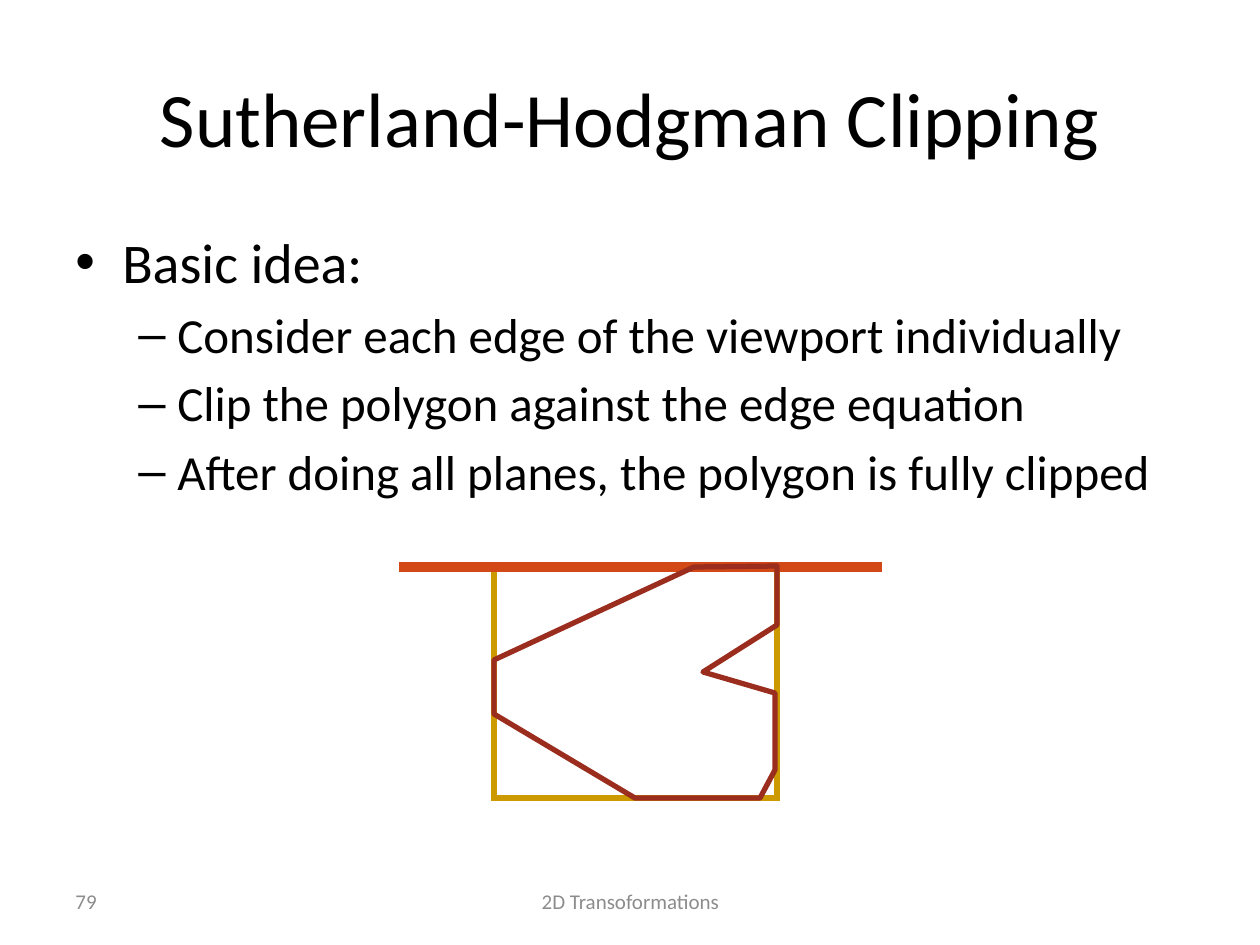
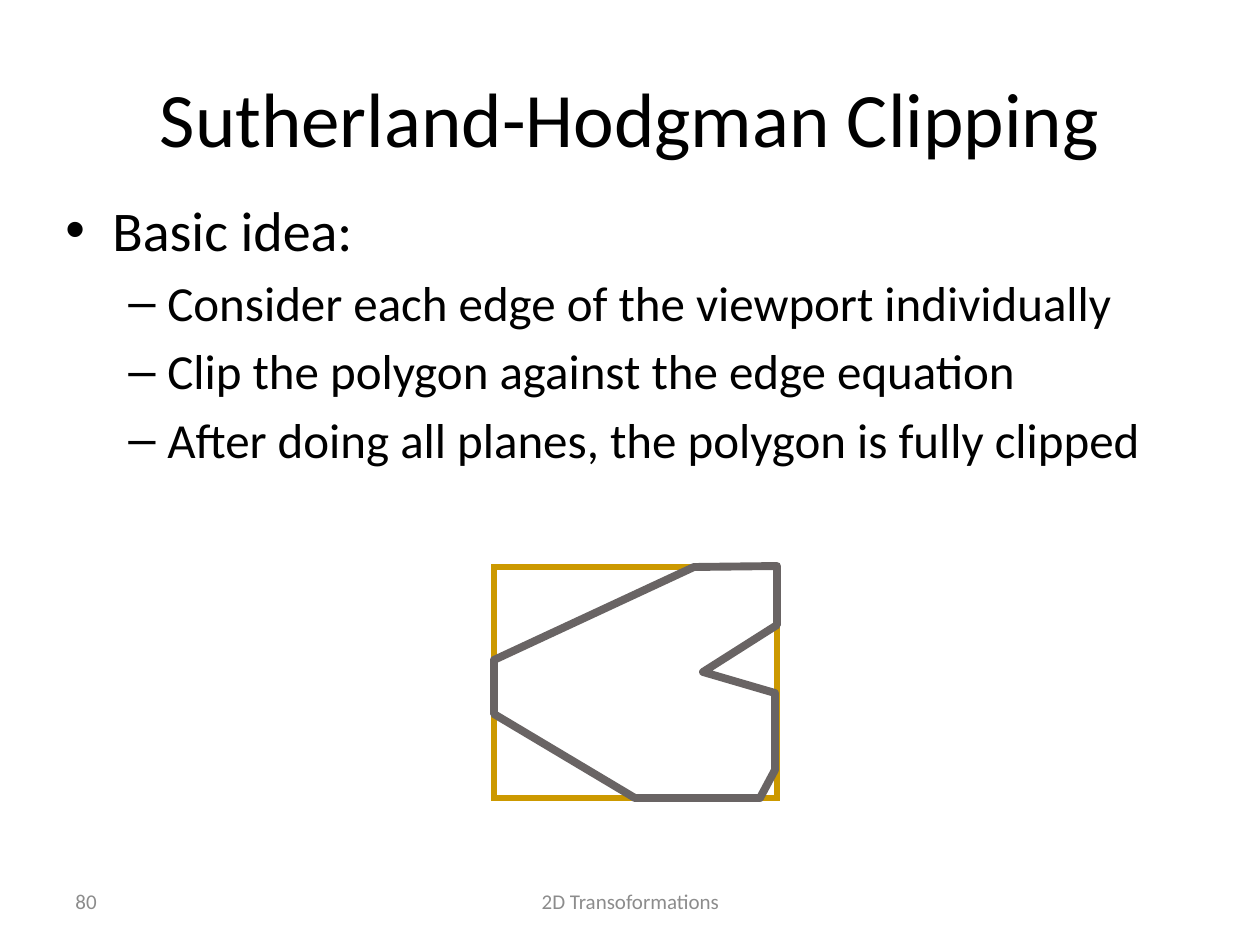
from lxml import etree
from pptx import Presentation
from pptx.dml.color import RGBColor
from pptx.enum.shapes import MSO_CONNECTOR, MSO_SHAPE
from pptx.enum.text import MSO_ANCHOR as Anchor, PP_ALIGN as Align
from pptx.oxml.ns import qn
from pptx.util import Pt

FONT = "Calibri"
BLACK = RGBColor(0x00, 0x00, 0x00)
FOOTER_GRAY = RGBColor(0x8C, 0x8C, 0x8C)
VIEWPORT_GOLD = RGBColor(0xCC, 0x99, 0x00)
EDGE_ORANGE = RGBColor(0xD3, 0x48, 0x17)
CLIPPED_RED = RGBColor(0x9B, 0x2D, 0x1F)
FINISHED_GRAY = RGBColor(0x69, 0x64, 0x64)

TITLE = "Sutherland-Hodgman Clipping"
FOOTER = "2D Transoformations"
BULLETS = [
    (0, "Basic idea:"),
    (1, "Consider each edge of the viewport individually"),
    (1, "Clip the polygon against the edge equation"),
    (1, "After doing all planes, the polygon is fully clipped"),
]
# Per level: bullet sign, text indent in px, hanging indent in px, size in points
LEVELS = [("•", 47, 47, 32), ("–", 102, 39, 28)]

# Boxes are left, top, width, height in px
TITLE_BOX = (63, 38, 1134, 158)
NUMBER_BOX = (63, 876, 294, 50)
FOOTER_BOX = (431, 876, 399, 50)
VIEWPORT_BOX = (494, 567, 283, 231)
CLIP_EDGE = (399, 567, 882, 567)
POLYGON = [(694, 567), (494, 660), (494, 714), (635, 798), (760, 798),
           (775, 770), (775, 693), (703, 672), (777, 625), (777, 566)]

SLIDES = [
    {"number": "79", "body": (63, 221, 1134, 624), "clip_edge": True,
     "polygon": (CLIPPED_RED, 3)},
    {"number": "80", "body": (53, 189, 1126, 725), "clip_edge": False,
     "polygon": (FINISHED_GRAY, 4.5)},
]

EMU_PER_PX = 914400 / 126


def px(*lengths):
    return [round(length * EMU_PER_PX) for length in lengths]


def add_text_frame(slide, box, anchor):
    frame = slide.shapes.add_textbox(*px(*box)).text_frame
    frame.word_wrap = True
    frame.vertical_anchor = anchor
    return frame


def style_font(paragraph, size, color):
    paragraph.font.name = FONT
    paragraph.font.size = Pt(size)
    paragraph.font.color.rgb = color


def add_label(slide, box, text, size, color, align):
    paragraph = add_text_frame(slide, box, Anchor.MIDDLE).paragraphs[0]
    paragraph.text = text
    paragraph.alignment = align
    style_font(paragraph, size, color)


def add_bullets(slide, box):
    frame = add_text_frame(slide, box, Anchor.TOP)
    for index, (level, text) in enumerate(BULLETS):
        sign, indent, hanging, size = LEVELS[level]
        paragraph = frame.add_paragraph() if index else frame.paragraphs[0]
        paragraph.text = text
        paragraph.level = level
        paragraph.space_before = Pt(0.2 * size if index else 0)
        properties = paragraph._p.get_or_add_pPr()
        left, first = px(indent, -hanging)
        properties.set("marL", str(left))
        properties.set("indent", str(first))
        etree.SubElement(properties, qn("a:buFont")).set("typeface", "Arial")
        etree.SubElement(properties, qn("a:buChar")).set("char", sign)
        style_font(paragraph, size, BLACK)


def style_line(shape, color, width):
    shape.line.color.rgb = color
    shape.line.width = Pt(width)


def style_outline(shape, color, width, join):
    """Leave the shape unfilled, with corners drawn as join (miter or round)."""
    shape.shadow.inherit = False
    shape.fill.background()
    style_line(shape, color, width)
    etree.SubElement(shape.line._get_or_add_ln(), qn("a:" + join))


def add_clip_edge(slide):
    edge = slide.shapes.add_connector(MSO_CONNECTOR.STRAIGHT, *px(*CLIP_EDGE))
    style_line(edge, EDGE_ORANGE, 6)
    etree.SubElement(edge._element.spPr, qn("a:effectLst"))


def add_polygon(slide, color, width):
    builder = slide.shapes.build_freeform(*POLYGON[0], scale=EMU_PER_PX)
    builder.add_line_segments(POLYGON[1:], close=True)
    style_outline(builder.convert_to_shape(), color, width, "round")


def add_slide(presentation, content):
    slide = presentation.slides.add_slide(presentation.slide_layouts[6])
    add_label(slide, NUMBER_BOX, content["number"], 12, FOOTER_GRAY, Align.LEFT)
    add_label(slide, TITLE_BOX, TITLE, 44, BLACK, Align.CENTER)
    add_bullets(slide, content["body"])
    viewport = slide.shapes.add_shape(MSO_SHAPE.RECTANGLE, *px(*VIEWPORT_BOX))
    style_outline(viewport, VIEWPORT_GOLD, 3, "miter")
    if content["clip_edge"]:
        add_clip_edge(slide)
    add_polygon(slide, *content["polygon"])
    add_label(slide, FOOTER_BOX, FOOTER, 12, FOOTER_GRAY, Align.CENTER)


def main():
    presentation = Presentation()
    presentation.slide_width, presentation.slide_height = px(1260, 945)
    for content in SLIDES:
        add_slide(presentation, content)
    presentation.save("out.pptx")


if __name__ == "__main__":
    main()
